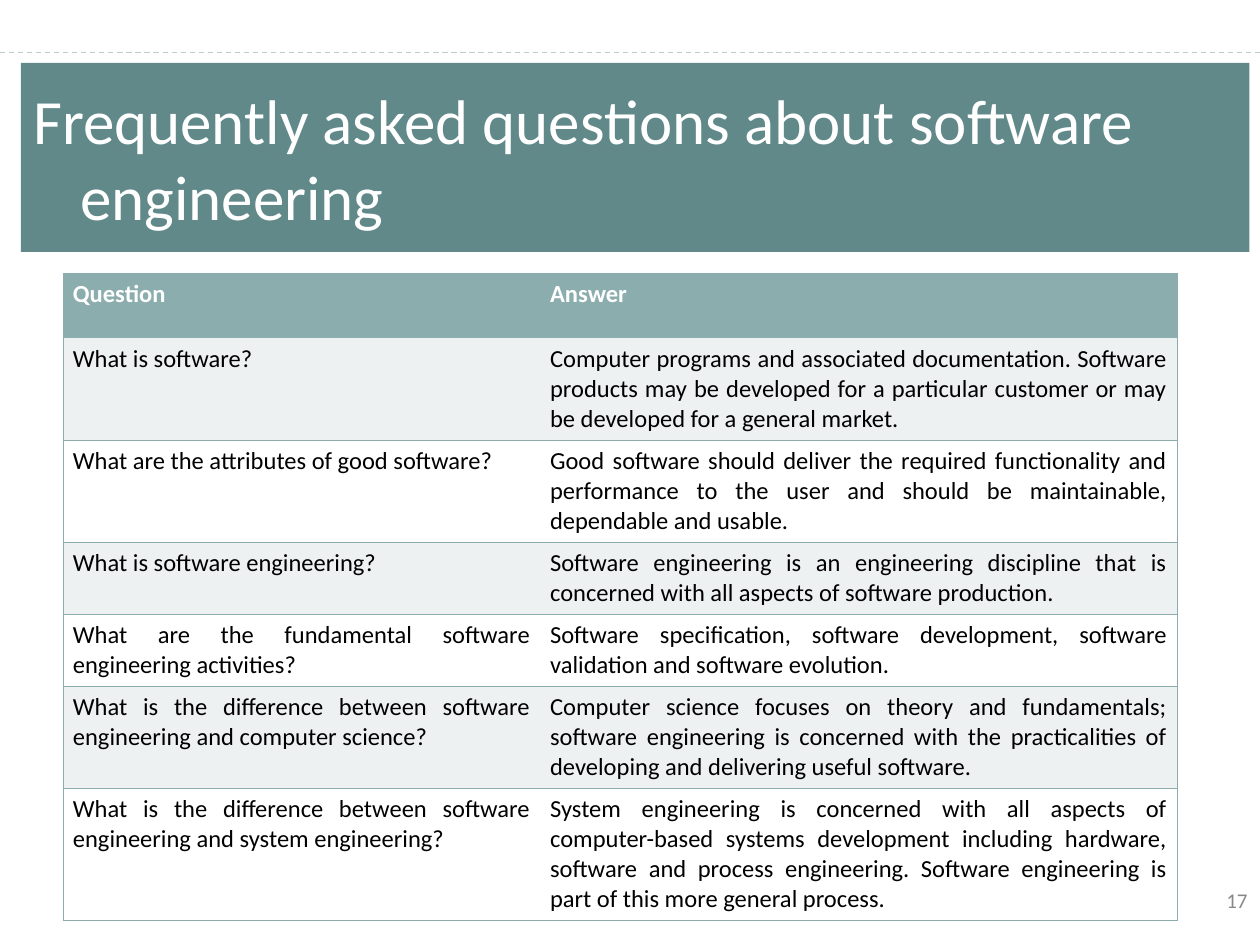
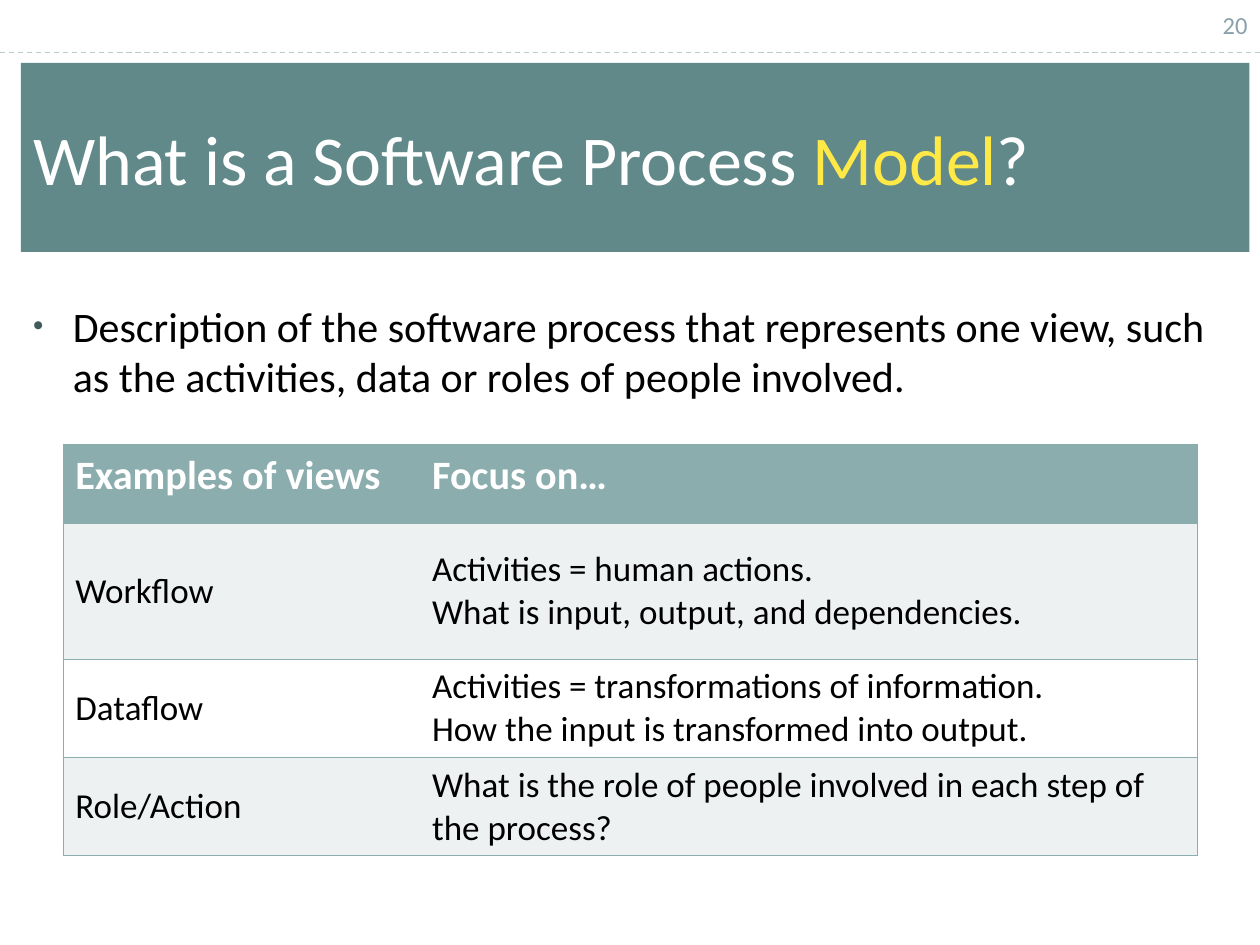
from lxml.etree import SubElement
from pptx import Presentation
from pptx.dml.color import RGBColor
from pptx.enum.dml import MSO_LINE
from pptx.enum.shapes import MSO_CONNECTOR, MSO_SHAPE
from pptx.enum.text import MSO_ANCHOR, PP_ALIGN
from pptx.oxml.ns import qn
from pptx.util import Cm, Pt

FONT = "Calibri"
WHITE, BLACK = "FFFFFF", "000000"
BAND, HEADER, STRIPE = "61898A", "8CADAE", "EEF1F2"
RULE, BULLET, HIGHLIGHT = "BACECE", "415B5C", "FFE947"
NO_STYLE = "{2D5ABB26-0587-4C30-8999-92F81FD0307C}"
BORDER_WIDTH = Pt(0.45)
PAGE_WIDTH, PAGE_HEIGHT = Cm(25.4), Cm(19.05)

FAQ_ROWS = [
    ("Question", "Answer"),
    ("What is software?",
     "Computer programs and associated documentation. Software products may be "
     "developed for a particular customer or may be developed for a general market."),
    ("What are the attributes of good software?",
     "Good software should deliver the required functionality and performance to "
     "the user and should be maintainable, dependable and usable."),
    ("What is software engineering?",
     "Software engineering is an engineering discipline that is concerned with all "
     "aspects of software production."),
    ("What are the fundamental software engineering activities?",
     "Software specification, software development, software validation and "
     "software evolution."),
    ("What is the difference between software engineering and computer science?",
     "Computer science focuses on theory and fundamentals; software engineering is "
     "concerned with the practicalities of developing and delivering useful software."),
    ("What is the difference between software engineering and system engineering?",
     "System engineering is concerned with all aspects of computer-based systems "
     "development including hardware, software and process engineering. Software "
     "engineering is part of this more general process."),
]
VIEW_ROWS = [
    ("Examples of views", "Focus on…"),
    ("Workflow", "Activities = human actions.\nWhat is input, output, and dependencies."),
    ("Dataflow", "Activities = transformations of information.\n"
                 "How the input is transformed into output."),
    ("Role/Action", "What is the role of people involved in each step of the process?"),
]


def color(value):
    return RGBColor.from_string(value)


def add_span(para, text, size, ink, bold=False):
    span = para.add_run()
    span.text = text
    font = span.font
    font.name, font.size, font.bold = FONT, Pt(size), bold
    font.color.rgb = color(ink)


def hang(para, distance):
    """Indent all lines but the first."""
    properties = para._p.get_or_add_pPr()
    properties.set("marL", str(distance))
    properties.set("indent", str(-distance))
    return properties


def add_page(deck):
    page = deck.slides.add_slide(deck.slide_layouts[6])
    rule = page.shapes.add_connector(
        MSO_CONNECTOR.STRAIGHT, 0, Cm(1.06), PAGE_WIDTH, Cm(1.06))
    rule.line.color.rgb = color(RULE)
    rule.line.width = Pt(0.75)
    rule.line.dash_style = MSO_LINE.DASH
    SubElement(rule._element.spPr, qn("a:effectLst"))
    return page


def add_title(page, spans, size):
    """Draw the title band; spans are (text, colour) pairs."""
    band = page.shapes.add_shape(
        MSO_SHAPE.RECTANGLE, Cm(0.42), Cm(1.27), Cm(24.77), Cm(3.81))
    band.shadow.inherit = False
    band.fill.solid()
    band.fill.fore_color.rgb = color(BAND)
    band.line.fill.background()
    frame = band.text_frame
    frame.vertical_anchor = MSO_ANCHOR.MIDDLE
    para = frame.paragraphs[0]
    para.alignment = PP_ALIGN.LEFT
    hang(para, Cm(0.95))
    for text, ink in spans:
        add_span(para, text, size, ink)


def add_text_box(page, left, top, width, height):
    box = page.shapes.add_textbox(Cm(left), Cm(top), Cm(width), Cm(height))
    box.text_frame.word_wrap = True
    return box.text_frame


def add_page_number(page, number, left, top, width, size, ink):
    frame = add_text_box(page, left, top, width, 1.01)
    frame.vertical_anchor = MSO_ANCHOR.MIDDLE
    para = frame.paragraphs[0]
    para.alignment = PP_ALIGN.RIGHT
    add_span(para, number, size, ink)


def add_bullet(page, text):
    frame = add_text_box(page, 0.42, 5.93, 24.34, 12.28)
    para = frame.paragraphs[0]
    properties = hang(para, Cm(0.8))
    tint = SubElement(properties, qn("a:buClr"))
    SubElement(tint, qn("a:srgbClr"), val=BULLET)
    SubElement(properties, qn("a:buSzPct"), val="70000")
    SubElement(properties, qn("a:buFont"), typeface="Arial")
    SubElement(properties, qn("a:buChar"), char="•")
    para.space_after = Pt(24)
    add_span(para, text, 24, BLACK)


def add_borders(cell, sides):
    properties = cell._tc.get_or_add_tcPr()
    for side in sides:
        line = SubElement(properties, qn(f"a:ln{side}"), w=str(BORDER_WIDTH))
        SubElement(SubElement(line, qn("a:solidFill")), qn("a:srgbClr"), val=HEADER)


def add_striped_table(page, rows, top, widths, heights, sizes, margin, alignment, anchor):
    """Sizes are those of the header and of the body text."""
    table = page.shapes.add_table(
        len(rows), len(widths), Cm(1.27), Cm(top),
        Cm(sum(widths)), Cm(sum(heights))).table
    table.horz_banding = False
    table._tbl.tblPr.find(qn("a:tableStyleId")).text = NO_STYLE
    for column, width in zip(table.columns, widths):
        column.width = Cm(width)
    for index, (texts, height) in enumerate(zip(rows, heights)):
        table.rows[index].height = Cm(height)
        is_header = index == 0
        fill = HEADER if is_header else STRIPE if index % 2 else WHITE
        for position, text in enumerate(texts):
            cell = table.cell(index, position)
            add_borders(cell, "LTB" if position == 0 else "RTB")
            cell.fill.solid()
            cell.fill.fore_color.rgb = color(fill)
            cell.margin_left = cell.margin_right = Cm(margin)
            cell.vertical_anchor = MSO_ANCHOR.TOP if is_header else anchor
            frame = cell.text_frame
            for number, line in enumerate(text.split("\n")):
                para = frame.add_paragraph() if number else frame.paragraphs[0]
                para.alignment = alignment
                add_span(para, line, sizes[0] if is_header else sizes[1],
                         WHITE if is_header else BLACK, is_header)


def build_faq_page(deck):
    page = add_page(deck)
    add_page_number(page, "17", 23.9, 17.65, 1.5, 12, "898989")
    add_striped_table(
        page, FAQ_ROWS, 5.51, [9.62, 12.84],
        [1.3, 2.06, 2.06, 1.45, 1.45, 2.06, 2.66],
        (14, 14), 0.2, PP_ALIGN.JUSTIFY, MSO_ANCHOR.TOP)
    add_title(page, [("Frequently asked questions about software engineering", WHITE)], 36)


def build_model_page(deck):
    page = add_page(deck)
    add_page_number(page, "20", 19.47, 0, 5.93, 14, "88A1AD")
    add_title(page, [("What is a Software Process ", WHITE),
                     ("Model", HIGHLIGHT), ("?", WHITE)], 40)
    add_bullet(page, "Description of the software process that represents one view, "
                     "such as the activities, data or roles of people involved.")
    add_striped_table(
        page, VIEW_ROWS, 8.96, [7.19, 15.67], [1.59, 2.74, 1.98, 1.98],
        (23, 20), 0.25, PP_ALIGN.LEFT, MSO_ANCHOR.MIDDLE)


def main():
    deck = Presentation()
    deck.slide_width, deck.slide_height = PAGE_WIDTH, PAGE_HEIGHT
    build_faq_page(deck)
    build_model_page(deck)
    deck.save("out.pptx")


if __name__ == "__main__":
    main()
